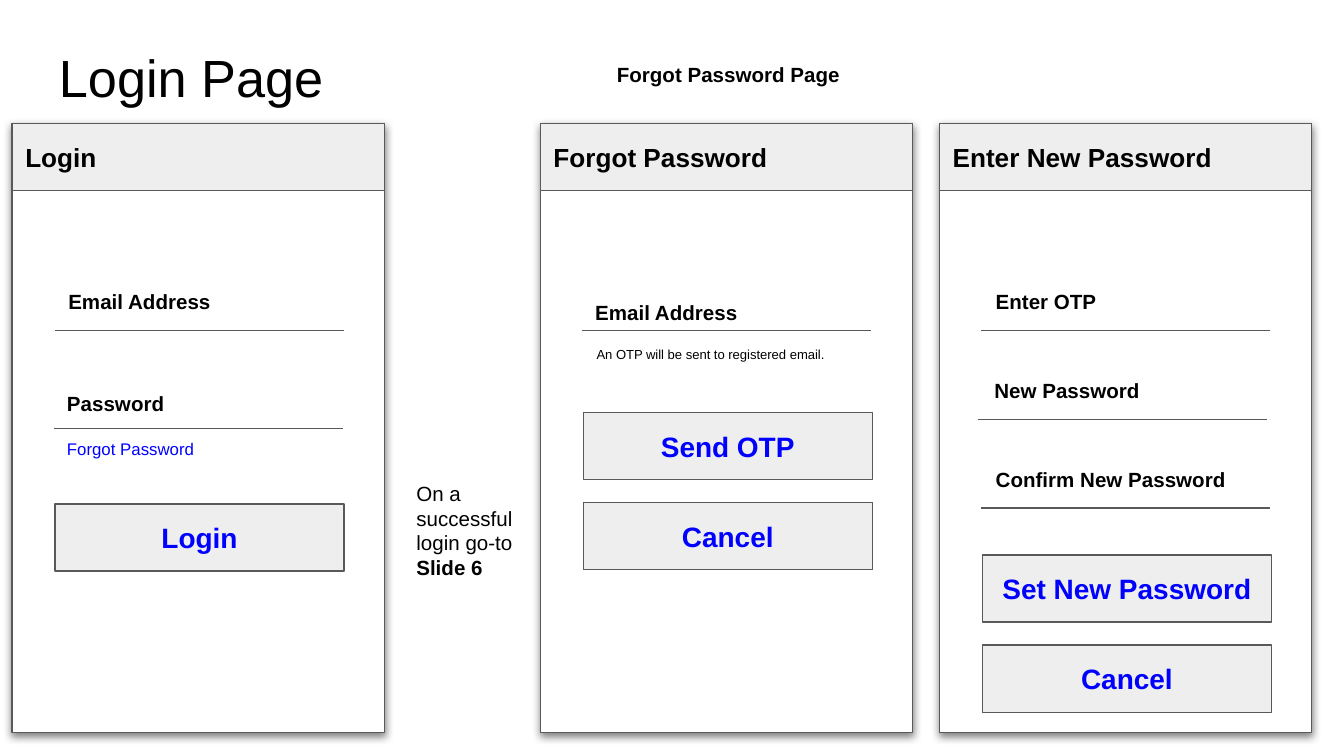
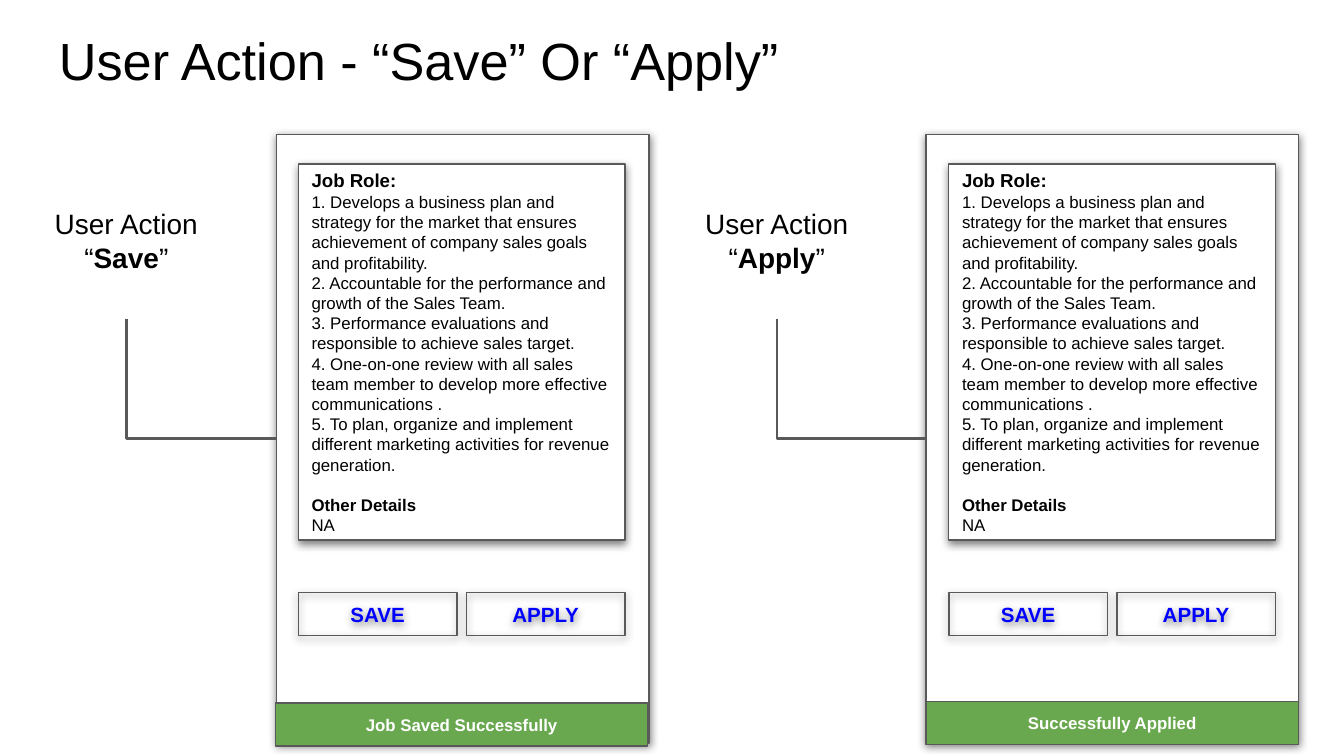
from lxml import etree
from pptx import Presentation
from pptx.dml.color import RGBColor
from pptx.enum.shapes import MSO_CONNECTOR as CONN, MSO_SHAPE as SHAPE
from pptx.enum.text import MSO_ANCHOR as ANCHOR, PP_ALIGN as ALIGN
from pptx.oxml import parse_xml
from pptx.oxml.ns import nsdecls, qn
from pptx.util import Inches, Pt

BLACK, WHITE, BLUE = "000000", "FFFFFF", "0000FF"
GRAY, DARK, GREEN = "EEEEEE", "595959", "6AA84F"
PANEL_W, PANEL_H, FIELD_W, ROW_H = 2.77, 4.53, 2.15, 0.5
rgb = RGBColor.from_string

SHADOW = (
    f'<a:outerShdw {nsdecls("a")} blurRad="57150" dist="19050" dir="5400000" algn="bl" rotWithShape="0">'
    '<a:srgbClr val="000000"><a:alpha val="50000"/></a:srgbClr></a:outerShdw>'
)


def box(s, x, y, w, h, text="", size=11, color=BLACK, bold=False, center=False,
        frame=False, fill=None, shadow=False):
    at = [Inches(v) for v in (x, y, w, h)]
    if frame:
        sp = s.shapes.add_shape(SHAPE.RECTANGLE, *at)
        sp.shadow.inherit = False
        sp.line.color.rgb = rgb(DARK)
        sp.line.width = Pt(0.75)
        if fill:
            sp.fill.solid()
            sp.fill.fore_color.rgb = rgb(fill)
        else:
            sp.fill.background()
        if shadow:
            sp._element.spPr.find(qn("a:effectLst")).append(parse_xml(SHADOW))
    else:
        sp = s.shapes.add_textbox(*at)
    tf = sp.text_frame
    tf.word_wrap = True
    tf.vertical_anchor = ANCHOR.MIDDLE if frame else ANCHOR.TOP
    tf.margin_left = tf.margin_right = tf.margin_top = tf.margin_bottom = Inches(0.1)
    for n, row in enumerate(text.split("\n") if text else []):
        p = tf.add_paragraph() if n else tf.paragraphs[0]
        p.alignment = ALIGN.CENTER if center else ALIGN.LEFT
        for i, part in enumerate(row.split("*")):
            if part:
                r = p.add_run()
                r.text = part
                r.font.name = "Arial"
                r.font.size = Pt(size)
                r.font.bold = bold or i % 2 == 1
                r.font.color.rgb = rgb(color)
    return tf


def line(s, x1, y1, x2, y2, width=0.75, kind=CONN.STRAIGHT):
    c = s.shapes.add_connector(kind, *[Inches(v) for v in (x1, y1, x2, y2)])
    c.line.color.rgb = rgb(DARK)
    c.line.width = Pt(width)
    etree.SubElement(c._element.spPr, qn("a:effectLst"))
    return c


prs = Presentation()
prs.slide_width = Inches(10)
prs.slide_height = prs.slide_width * 9 // 16
blank = prs.slide_layouts[6]

s = prs.slides.add_slide(blank)
box(s, 0.34, 0.24, 9.32, 0.63, "Login Page", size=28)
box(s, 4.28, 0.37, 2.28, ROW_H, "Forgot Password Page", bold=True, center=True)
box(s, 3, 3.48, 0.93, 1.15, "On a successful login go-to\n*Slide 6*")

screens = [
    (0.09, "Login",
     [("Email Address", 0.41, 2.06, 0.41, 2.46), ("Password", 0.4, 2.82, 0.4, 3.19)],
     [("Login", 0.41, 3.75)]),
    (4.02, "Forgot Password",
     [("Email Address", 4.33, 2.14, 4.33, 2.46)],
     [("Send OTP", 4.34, 3.07), ("Cancel", 4.34, 3.74)]),
    (6.99, "Enter New Password",
     [("Enter OTP", 7.31, 2.06, 7.3, 2.46), ("New Password", 7.3, 2.72, 7.28, 3.12),
      ("Confirm New Password", 7.31, 3.38, 7.3, 3.78)],
     [("Set New Password", 7.31, 4.13), ("Cancel", 7.31, 4.8)]),
]
for x, heading, fields, buttons in screens:
    box(s, x, 0.92, PANEL_W, PANEL_H, frame=True, fill=WHITE, shadow=True)
    box(s, x, 0.92, PANEL_W, ROW_H, heading, size=14, bold=True, frame=True, fill=GRAY)
    for label, fx, fy, lx, ly in fields:
        box(s, fx, fy, FIELD_W, ROW_H, label, bold=True)
        line(s, lx, ly, lx + FIELD_W, ly)
    for label, bx, by in buttons:
        box(s, bx, by, FIELD_W, ROW_H, label, size=15, color=BLUE, bold=True,
            center=True, frame=True, fill=GRAY)
box(s, 0.4, 3.19, FIELD_W, ROW_H, "Forgot Password", size=9, color=BLUE)
box(s, 4.34, 2.52, FIELD_W, 0.3, "An OTP will be sent to registered email.", size=7)

JOB = """*Job Role:*
1. Develops a business plan and strategy for the market that ensures achievement of company sales goals and profitability.
2. Accountable for the performance and growth of the Sales Team.
3. Performance evaluations and responsible to achieve sales target.
4. One-on-one review with all sales team member to develop more effective communications .
5. To plan, organize and implement different marketing activities for revenue generation.
*Other Details*
NA"""

s = prs.slides.add_slide(blank)
box(s, 0.34, 0.11, 9.32, 0.63, "User Action - “Save” Or “Apply”", size=28)
actions = [
    (2.06, 2.22, "Save", "Job Saved Successfully", 2.05, 5.23),
    (6.89, 7.06, "Apply", "Successfully Applied", 6.89, 5.22),
]
for x, card_x, action, message, bar_x, bar_y in actions:
    box(s, x, 1, PANEL_W, PANEL_H, frame=True, fill=WHITE, shadow=True)
    tf = box(s, card_x, 1.22, 2.43, 2.8, JOB, size=9, frame=True, fill=WHITE, shadow=True)
    tf.paragraphs[0].runs[0].font.size = Pt(10)
    tf.paragraphs[6].space_before = Pt(10.8)
    for i, label in enumerate(("SAVE", "APPLY")):
        box(s, card_x + 1.25 * i, 4.41, 1.18, 0.32, label, color=BLUE, bold=True,
            center=True, frame=True, shadow=True)
    box(s, card_x - 1.98, 1.44, 1.4, 0.94, f"User Action\n“*{action}*”", size=15, center=True)
    c = line(s, card_x - 0.28, 2.26, card_x - 1.17, 3.37, width=1.5, kind=CONN.ELBOW)
    c._element.spPr.find(qn("a:xfrm")).set("rot", "16200000")
    c._element.spPr.find(qn("a:prstGeom")).set("prst", "bentConnector2")
    box(s, bar_x, bar_y, PANEL_W, 0.32, message, size=9, color=WHITE, bold=True,
        center=True, frame=True, fill=GREEN)

prs.save("out.pptx")
